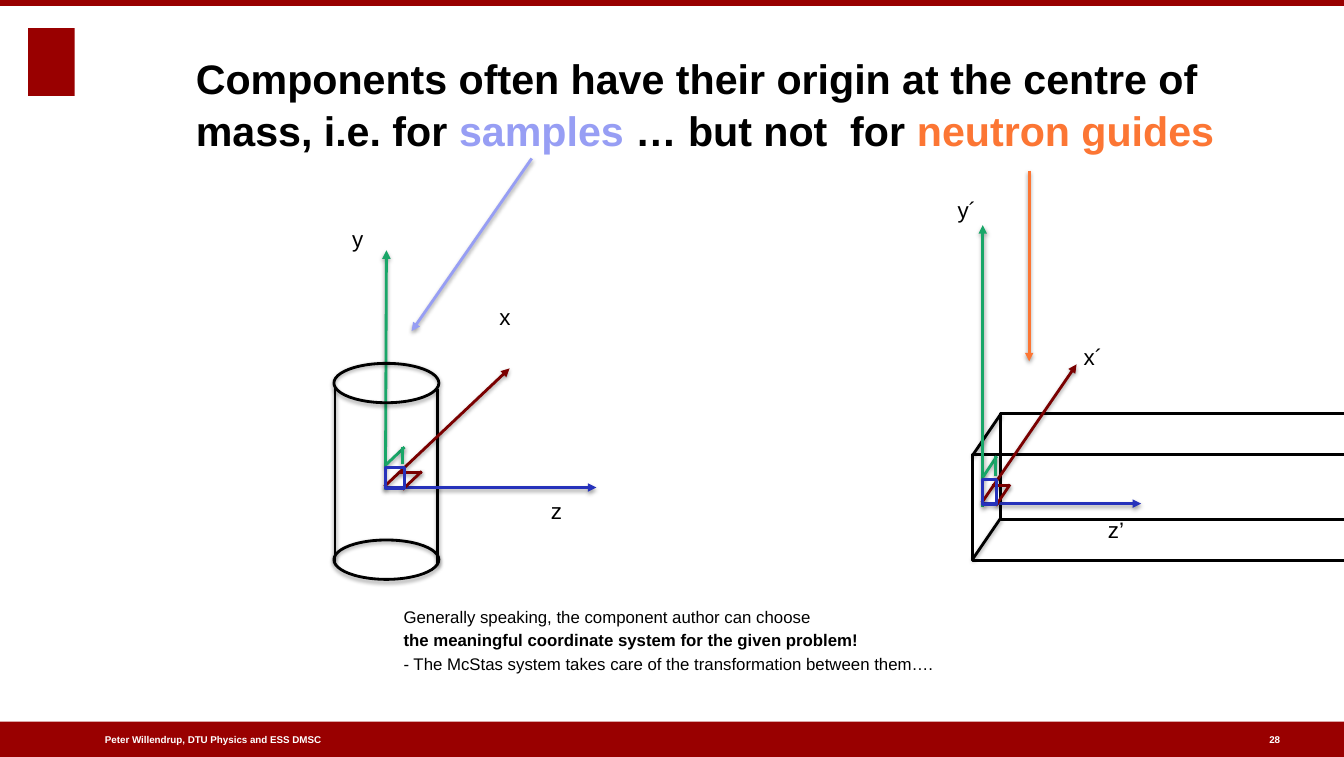
"""Build the slide on component coordinate systems for samples and neutron guides."""
import pptx
import pptx.dml.color
import pptx.enum.shapes
import pptx.enum.text
import pptx.oxml
import pptx.util

PX = 9144
SLIDE = (1332, 750)
FONT = "Arial"
COLORS = {
    "band": "990000", "white": "FFFFFF", "black": "000000", "sample": "979EF4",
    "guide": "FC7634", "x": "7A0000", "y": "19A668", "z": "2632BB",
}
NS = 'xmlns:a="http://schemas.openxmlformats.org/drawingml/2006/main"'
SHADOW = (f'<a:effectLst {NS}><a:outerShdw blurRad="38100" dist="20320" dir="5400000" rotWithShape="0">'
          '<a:srgbClr val="000000"><a:alpha val="38000"/></a:srgbClr></a:outerShdw></a:effectLst>')
ARROW = f'<a:tailEnd {NS} type="triangle"/>'

BANDS = [(0, 715, 1332, 35), (0, 0, 1332, 6), (28, 28, 46, 67)]
TITLE = [[("Components often have their origin at the centre of mass, i.e. for ", "black", True),
          ("samples", "sample", True),
          (" … but not  for ", "black", True),
          ("neutron guides", "guide", True)]]
BODY = [[("Generally speaking, the component author can choose", "black", False)],
        [("the meaningful coordinate system for the given problem!", "black", True)],
        [("- The McStas system takes care of the transformation between them….", "black", False)]]
FOOTER = [[("Peter Willendrup, DTU Physics and ESS DMSC", "white", True)]]
NUMBER = [[("28", "white", True)]]

GUIDE_FACES = [((992, 410, 784, 105), "white"), ((964, 450, 784, 105), None)]
GUIDE_EDGES = [((964, 451), (992, 410)), ((964, 554), (992, 513))]
CYLINDER_ENDS = [(331, 535, 104, 39), (331, 360, 104, 39)]
CYLINDER_SIDES = [((332, 557), (332, 383)), ((434, 559), (434, 385))]
POINTERS = [((527, 157), (408, 328), "sample"), ((1020, 169), (1020, 358), "guide")]

SYSTEMS = [
    {"corner": (974, 475, 14, 25), "tips": {"y": (974, 223), "z": (1131, 499), "x": (1067, 361)},
     "labels": [("x´", 1074, 340), ("y´", 949, 194), ("z’", 1098, 511)]},
    {"corner": (382, 463, 19, 21), "tips": {"y": (383, 248), "z": (591, 483), "x": (505, 365)},
     "labels": [("x", 495, 300), ("y", 349, 223), ("z", 546, 493)]},
]
AXIS_STARTS = {"y": (0, 1.07), "z": (0, 0.96), "x": (-0.05, 0.91)}
RIGHT_ANGLES = [
    ("x", (0.67, 0.24), (1.9, 0.24)), ("x", (0.9, 1.04), (1.9, 0.2)),
    ("y", (0, -0.09), (1, -0.94)), ("y", (0.9, -0.13), (0.9, -0.94)),
]

prs = pptx.Presentation()
prs.slide_width, prs.slide_height = (v * PX for v in SLIDE)
s = prs.slides.add_slide(prs.slide_layouts[6])


def emu(values):
    return [round(v) * PX for v in values]


def rgb(name):
    return pptx.dml.color.RGBColor.from_string(COLORS[name])


def add_shape(kind, box, fill=None, line=None, shadow=False):
    sp = s.shapes.add_shape(kind, *emu(box))
    if fill:
        sp.fill.solid()
        sp.fill.fore_color.rgb = rgb(fill)
    else:
        sp.fill.background()
    if line:
        sp.line.color.rgb = rgb(line)
        sp.line.width = pptx.util.Pt(2)
    else:
        sp.line.fill.background()
    if shadow:
        sp._element.spPr.append(pptx.oxml.parse_xml(SHADOW))
    else:
        sp.shadow.inherit = False


def add_line(start, end, color, arrow=False):
    c = s.shapes.add_connector(pptx.enum.shapes.MSO_CONNECTOR.STRAIGHT, *emu(start + end))
    c.line.color.rgb = rgb(color)
    c.line.width = pptx.util.Pt(2)
    if arrow:
        c.line._get_or_add_ln().append(pptx.oxml.parse_xml(ARROW))
    c._element.spPr.append(pptx.oxml.parse_xml(SHADOW))


def add_text(box, paragraphs, size, anchor="TOP", wrap=True, gap=0, spacing=None):
    tf = s.shapes.add_textbox(*emu(box)).text_frame
    tf.margin_left = tf.margin_top = tf.margin_right = tf.margin_bottom = 0
    tf.word_wrap = wrap
    tf.vertical_anchor = getattr(pptx.enum.text.MSO_ANCHOR, anchor)
    for i, runs in enumerate(paragraphs):
        p = tf.add_paragraph() if i else tf.paragraphs[0]
        if i:
            p.space_before = pptx.util.Pt(gap)
        if spacing:
            p.line_spacing = spacing
        for text, color, bold in runs:
            r = p.add_run()
            r.text = text
            r.font.name = FONT
            r.font.size = pptx.util.Pt(size)
            r.font.bold = bold
            r.font.color.rgb = rgb(color)


def add_system(corner, tips, labels):
    left, top, width, height = corner

    def at(point):
        return (left + point[0] * width, top + point[1] * height)

    for axis, tip in tips.items():
        add_line(at(AXIS_STARTS[axis]), tip, axis, arrow=True)
    for axis, start, end in RIGHT_ANGLES:
        add_line(at(start), at(end), axis)
    add_shape(RECT, corner, line="z")
    for text, x, y in labels:
        add_text((x, y, 25, 40), [[(text, "black", False)]], 16, wrap=False)


RECT = pptx.enum.shapes.MSO_SHAPE.RECTANGLE
OVAL = pptx.enum.shapes.MSO_SHAPE.OVAL

for band in BANDS:
    add_shape(RECT, band, fill="band")
add_text((104, 726, 372, 14), FOOTER, 7, "MIDDLE")
add_text((1258, 726, 14, 14), NUMBER, 7, "MIDDLE", wrap=False)
add_text((194, 47, 1018, 106), TITLE, 29.4, "BOTTOM", spacing=1.05)

for face, fill in GUIDE_FACES:
    add_shape(RECT, face, fill, "black")
for start, end in GUIDE_EDGES + CYLINDER_SIDES:
    add_line(start, end, "black")
for system in SYSTEMS:
    add_system(**system)
for end in CYLINDER_ENDS:
    add_shape(OVAL, end, line="black", shadow=True)
for start, end, color in POINTERS:
    add_line(start, end, color, arrow=True)
add_text((400, 601, 957, 66), BODY, 12, gap=2.4)

prs.save("out.pptx")
